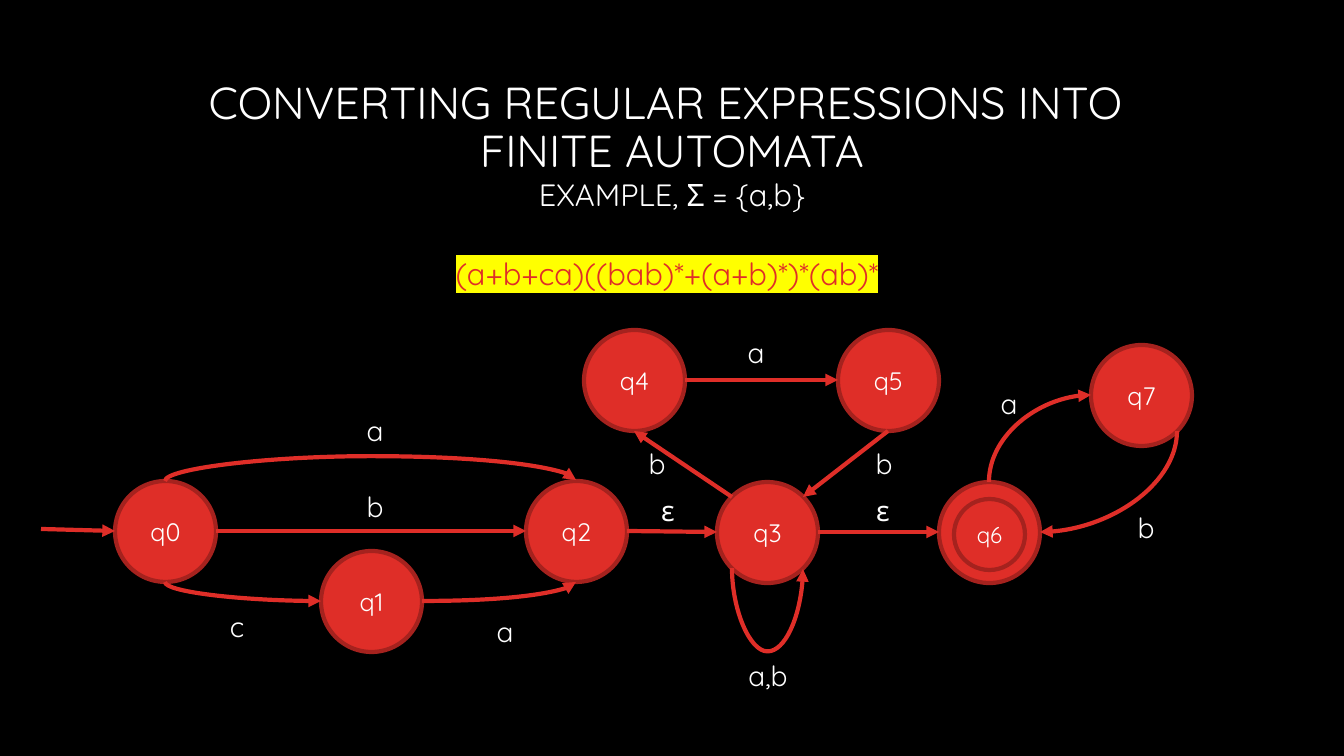
import pptx
import pptx.dml.color
import pptx.enum.shapes
import pptx.enum.text
import pptx.oxml
import pptx.oxml.ns
import pptx.util

PX = 914400 / 100.8  # EMU per px
FONT = "Quicksand"
COLORS = {"bg": "000000", "text": "FFFFFF", "red": "DF2E28",
          "edge": "A5221E", "mark": "FFFF00"}
ALIGN = pptx.enum.text.PP_ALIGN
ANCHOR = pptx.enum.text.MSO_ANCHOR
CONNECTOR = pptx.enum.shapes.MSO_CONNECTOR
OVAL = pptx.enum.shapes.MSO_SHAPE.OVAL

STATE = 101   # diameter of a state
INNER = 71    # diameter of the accepting ring
DIAGONAL = 15  # inset of the diagonal anchor points

# Top left corner of each state, relative to the diagram
STATES = {"q0": (74, 156), "q1": (280, 226), "q2": (485, 156),
          "q3": (676, 157), "q4": (543, 5), "q5": (797, 5),
          "q6": (898, 157), "q7": (1050, 20)}
ACCEPTING = {"q6"}
ANCHORS = {
    "n": (STATE // 2, 0), "s": (STATE // 2, STATE),
    "w": (0, STATE // 2), "e": (STATE, STATE // 2),
    "nw": (DIAGONAL, DIAGONAL), "ne": (STATE - DIAGONAL, DIAGONAL),
    "sw": (DIAGONAL, STATE - DIAGONAL),
    "se": (STATE - DIAGONAL, STATE - DIAGONAL),
}
# from state, anchor, to state, anchor
STRAIGHT = [("q0", "e", "q2", "w"), ("q2", "e", "q3", "w"),
            ("q3", "nw", "q4", "s"), ("q4", "e", "q5", "w"),
            ("q5", "s", "q3", "ne"), ("q3", "e", "q6", "w")]
# the same, then whether it leaves vertically
QUARTERS = [("q0", "s", "q1", "w", True), ("q1", "e", "q2", "s", False),
            ("q6", "n", "q7", "w", True), ("q7", "se", "q6", "e", True)]
# the same, then the signed height of the bow
BOWS = [("q0", "n", "q2", "n", -25), ("q3", "sw", "q3", "se", 84)]
# text, centre x, top
LABELS = [("a", 334, 84), ("b", 334, 160), ("c", 196, 280), ("a", 464, 285),
          ("ε", 627, 164), ("b", 616, 117), ("a", 715, 6), ("b", 843, 117),
          ("a,b", 727, 329), ("ε", 842, 164), ("a", 968, 57),
          ("b", 1105, 181)]


def emu(*lengths):
    return [round(n * PX) for n in lengths]


def rgb(name):
    return pptx.dml.color.RGBColor.from_string(COLORS[name])


def child(parent, tag, **attrs):
    el = pptx.oxml.ns.qn(tag)
    el = parent.makeelement(el, attrs)
    parent.append(el)
    return el


def write(sp, text, size, color="text", frame=None, para=None):
    """Put centred text in a shape, formatted from dicts."""
    tf = sp.text_frame
    for key, value in {"word_wrap": True, **(frame or {})}.items():
        setattr(tf, key, value)
    p = tf.paragraphs[0]
    p.text = text
    for key, value in {"alignment": ALIGN.CENTER, **(para or {})}.items():
        setattr(p, key, value)
    for r in p.runs:
        for key, value in {"name": FONT, "size": pptx.util.Pt(size)}.items():
            setattr(r.font, key, value)
        r.font.color.rgb = rgb(color)
    return p


def heading(slide, x, y, w):
    # Title
    sp = slide.shapes.title
    sp.left, sp.top, sp.width, sp.height = emu(x, y, w, 142)
    write(sp, "CONVERTING REGULAR EXPRESSIONS INTO \vFINITE AUTOMATA", 32,
          frame={"vertical_anchor": ANCHOR.MIDDLE}, para={"line_spacing": 0.9})

    # Alphabet and highlighted expression
    lines = [("EXAMPLE, Σ = {a,b}", 76, 117, 1192, "text"),
             ("(a+b+ca)((bab)*+(a+b)*)*(ab)*", 417, 196, 500, "red")]
    for text, dx, dy, width, color in lines:
        sp = slide.shapes.add_textbox(*emu(x + dx, y + dy, width, 48))
        p = write(sp, text, 22, color, para={
            "line_spacing": 0.9, "space_before": pptx.util.Pt(10)})
    fill = p.runs[0].font._element.find(pptx.oxml.ns.qn("a:solidFill"))
    mark = child(fill.getparent(), "a:highlight")
    child(mark, "a:srgbClr", val=COLORS["mark"])
    fill.addnext(mark)


def circle(slide, x, y, d, text="", size=18):
    sp = slide.shapes.add_shape(OVAL, *emu(x, y, d, d))
    sp.shadow.inherit = False
    sp.fill.solid()
    sp.fill.fore_color.rgb = rgb("red")
    sp.line.color.rgb = rgb("edge")
    sp.line.width = pptx.util.Pt(3)
    if text:
        write(sp, text, size, frame={"vertical_anchor": ANCHOR.MIDDLE})


def arrow(slide, start, end, kind=CONNECTOR.STRAIGHT, upright=False):
    """Connect two points; an upright curve leaves vertically."""
    (x1, y1), (x2, y2) = start, end
    if upright:  # the box is laid on its side, then turned by 90 degrees
        cx, cy, dx, dy = (x1 + x2) / 2, (y1 + y2) / 2, x2 - x1, y2 - y1
        x1, x2 = cx - dy / 2, cx + dy / 2
        y1, y2 = cy + dx / 2, cy - dx / 2
    sp = slide.shapes.add_connector(kind, *emu(x1, y1, x2, y2))
    sp.line.color.rgb = rgb("red")
    sp.line.width = pptx.util.Pt(3)
    child(sp.line._get_or_add_ln(), "a:tailEnd", type="triangle")
    spPr = sp._element.spPr
    child(spPr, "a:effectLst")
    if upright:
        spPr.find(pptx.oxml.ns.qn("a:xfrm")).set("rot", "5400000")
    return spPr.find(pptx.oxml.ns.qn("a:prstGeom"))


def automaton(slide, x, y):
    def point(state, anchor):
        (sx, sy), (ax, ay) = STATES[state], ANCHORS[anchor]
        return x + sx + ax, y + sy + ay

    # States
    for name, (sx, sy) in STATES.items():
        if name in ACCEPTING:
            inset = (STATE - INNER) // 2
            circle(slide, x + sx, y + sy, STATE)
            circle(slide, x + sx + inset, y + sy + inset + 2, INNER, name, 16)
        else:
            circle(slide, x + sx, y + sy, STATE, name)

    # Entry and straight transitions
    arrow(slide, (x, y + 204), (x + 74, y + 206))
    for a, a_side, b, b_side in STRAIGHT:
        arrow(slide, point(a, a_side), point(b, b_side))

    # Quarter curves
    for a, a_side, b, b_side, upright in QUARTERS:
        geom = arrow(slide, point(a, a_side), point(b, b_side),
                     CONNECTOR.CURVE, upright)
        geom.set("prst", "curvedConnector2")

    # Bows: the ends differ by 1 px, and the adjustment is a multiple of it
    for a, a_side, b, b_side, bow in BOWS:
        bx, by = point(b, b_side)
        end = bx, by + (1 if bow > 0 else -1)
        geom = arrow(slide, point(a, a_side), end, CONNECTOR.CURVE, True)
        guides = geom.get_or_add_avLst()
        child(guides, "a:gd", name="adj1", fmla=f"val {abs(bow) * 100000}")

    # Transition labels
    for text, cx, top in LABELS:
        sp = slide.shapes.add_textbox(*emu(x + cx - 34, y + top, 68, 44))
        write(sp, text, 20, frame={"word_wrap": False})


def main():
    prs = pptx.Presentation()
    prs.slide_width, prs.slide_height = emu(1344, 756)
    slide = prs.slides.add_slide(prs.slide_layouts[5])
    slide.background.fill.solid()
    slide.background.fill.fore_color.rgb = rgb("bg")
    heading(slide, 0, 58, 1344)
    automaton(slide, 41, 325)
    prs.save("out.pptx")


if __name__ == "__main__":
    main()
